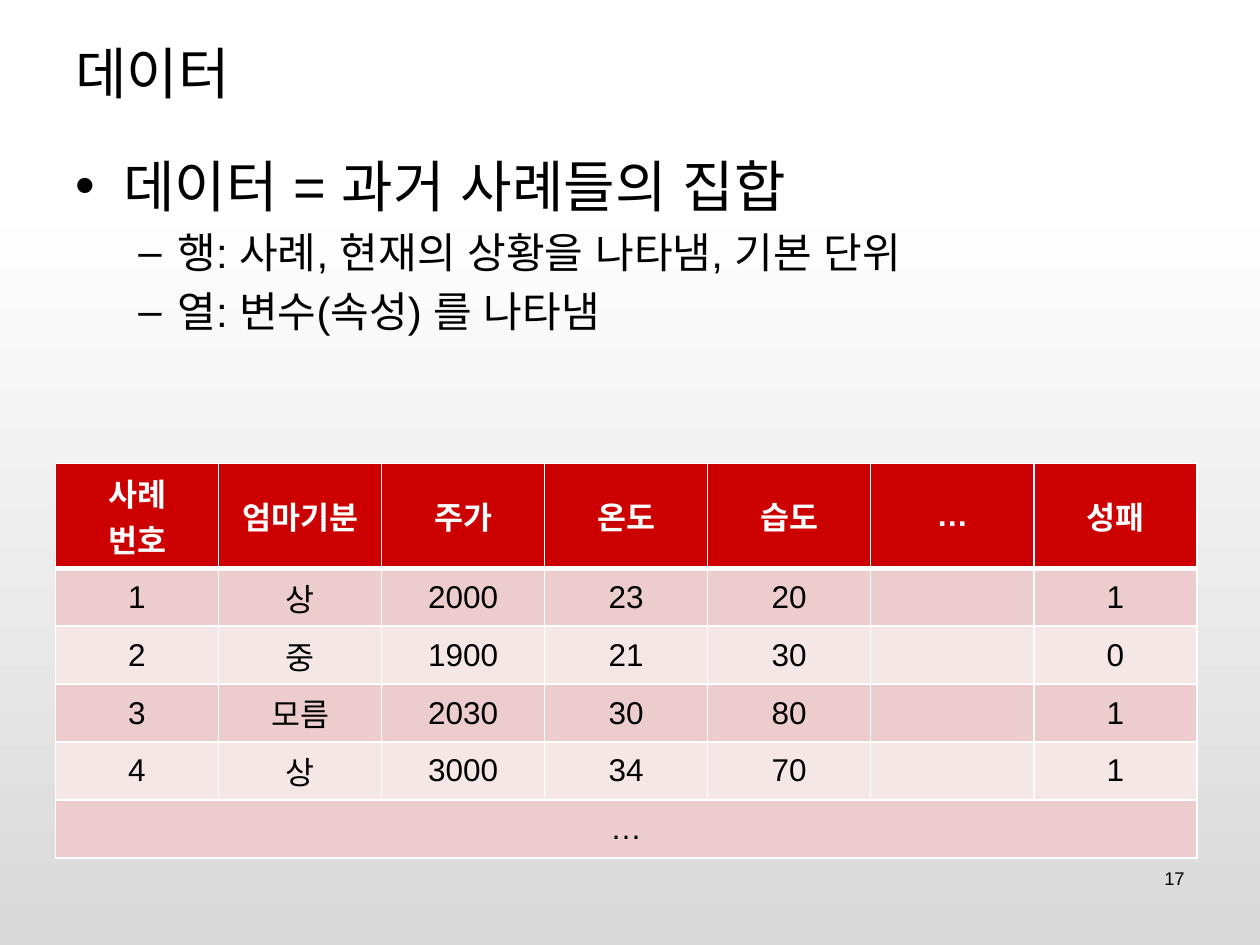
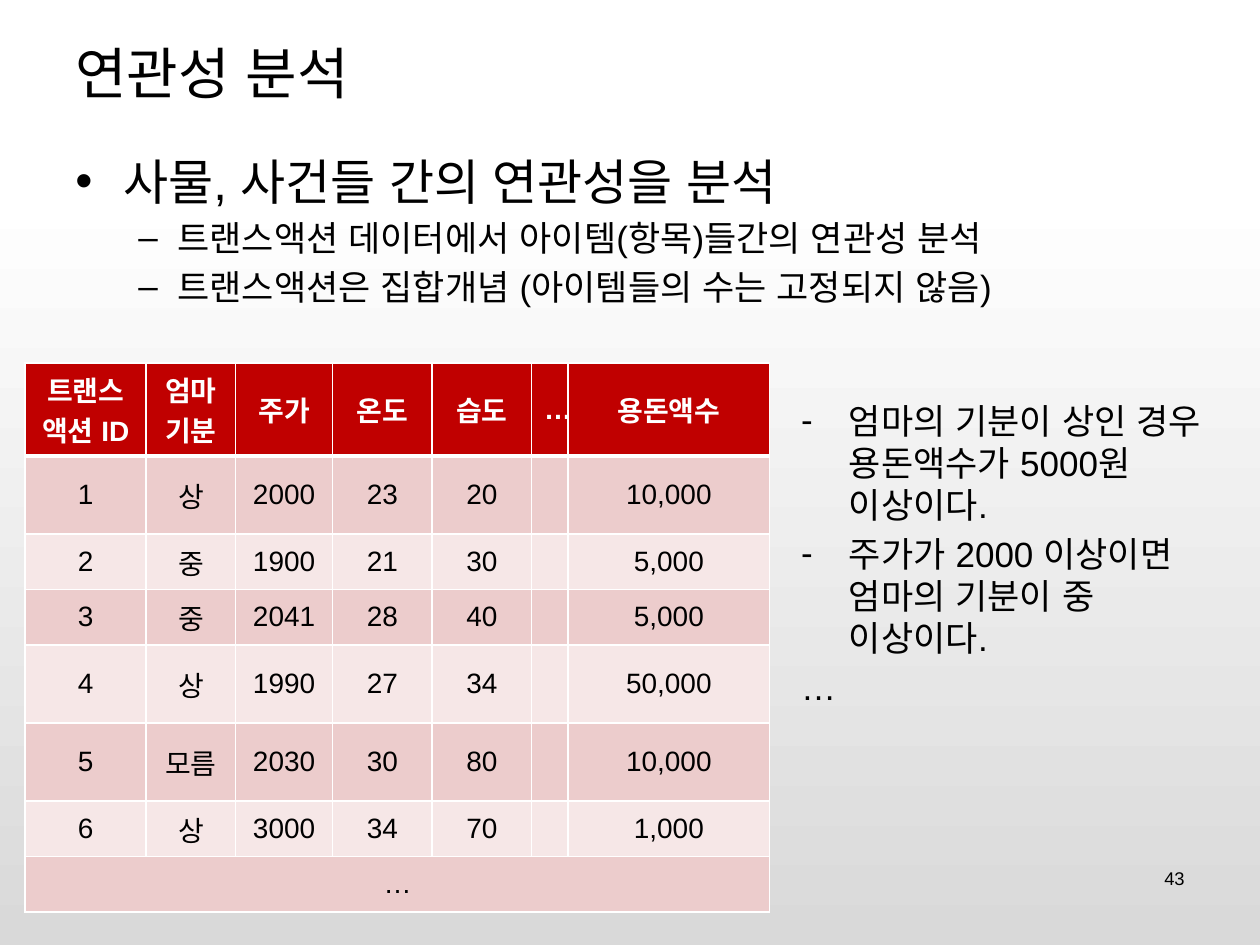
from dataclasses import dataclass

from lxml.etree import SubElement
from pptx import Presentation
from pptx.dml.color import RGBColor
from pptx.enum.lang import MSO_LANGUAGE_ID
from pptx.enum.text import MSO_ANCHOR, PP_ALIGN
from pptx.oxml.ns import qn
from pptx.util import Inches, Pt

# Content: each body line is (level, text)
DATA_SLIDE = dict(
    title="데이터",
    number="17",
    body_sizes=(32, 24),
    body=[
        (0, "데이터 = 과거 사례들의 집합"),
        (1, "행: 사례, 현재의 상황을 나타냄, 기본 단위"),
        (1, "열: 변수(속성) 를 나타냄"),
    ],
    grid=dict(
        corner=(0.44, 3.68),
        columns=[9.06 / 7] * 7,
        rows=[0.83] + [0.46] * 5,
        header_fill="CC0000",
        size=18,
        header=["사례\n번호", "엄마기분", "주가", "온도", "습도", "…", "성패"],
        cases=[
            ["1", "상", "2000", "23", "20", "", "1"],
            ["2", "중", "1900", "21", "30", "", "0"],
            ["3", "모름", "2030", "30", "80", "", "1"],
            ["4", "상", "3000", "34", "70", "", "1"],
        ],
    ),
    findings=[],
)

ASSOCIATION_SLIDE = dict(
    title="연관성 분석",
    number="43",
    body_sizes=(28, 20),
    body=[
        (0, "사물, 사건들 간의 연관성을 분석"),
        (1, "트랜스액션 데이터에서 아이템(항목)들간의 연관성 분석"),
        (1, "트랜스액션은 집합개념 (아이템들의 수는 고정되지 않음)"),
    ],
    grid=dict(
        corner=(0.2, 2.88),
        columns=[0.96, 0.71, 0.77, 0.79, 0.79, 0.29, 1.6],
        rows=[0.74, 0.62, 0.44, 0.44, 0.62, 0.62, 0.44, 0.44],
        header_fill="C00000",
        size=16,
        header=["트랜스액션 ID", "엄마기분", "주가", "온도", "습도", "…", "용돈액수"],
        cases=[
            ["1", "상", "2000", "23", "20", "", "10,000"],
            ["2", "중", "1900", "21", "30", "", "5,000"],
            ["3", "중", "2041", "28", "40", "", "5,000"],
            ["4", "상", "1990", "27", "34", "", "50,000"],
            ["5", "모름", "2030", "30", "80", "", "10,000"],
            ["6", "상", "3000", "34", "70", "", "1,000"],
        ],
    ),
    findings=[
        ("-", "엄마의 기분이 상인 경우 용돈액수가 5000원 이상이다."),
        ("-", "주가가 2000 이상이면 엄마의 기분이 중 이상이다."),
        ("", "…"),
    ],
)


@dataclass(frozen=True)
class Theme:
    latin: str = "Arial"
    korean: str = "Noto Sans CJK KR"
    ink: str = "000000"
    paper: str = "FFFFFF"
    shade: str = "D9D9D9"
    bands: tuple = ("ECCCCC", "F6E7E7")
    title_size: float = 32
    findings_size: float = 20
    number_size: float = 10.5
    space_share: float = 0.2
    rule: float = 1
    header_rule: float = 3


THEME = Theme()
WIDTH, HEIGHT = 10, 7.5
MARGIN = 0.05 * WIDTH
INNER = WIDTH - 2 * MARGIN
TITLE_AREA = (MARGIN, 0.04 * HEIGHT, INNER, 0.54)
BODY_AREA = (MARGIN, 1.15, INNER, 0.74 * HEIGHT)
NUMBER_AREA = (WIDTH - MARGIN - 2.33, 6.83, 2.33, 0.52)
FINDINGS_AREA = (6.26, 3.12, 3.54, 3.2)
BULLETS = ("•", "–")
INDENTS = ((0.38, -0.38), (0.81, -0.31))  # left margin, first line


def write(paragraph, text, size, color=THEME.ink, bold=False, latin=THEME.latin):
    for index, line in enumerate(text.split("\n")):
        if index:
            paragraph.add_line_break()
        run = paragraph.add_run()
        run.text = line
        run.font.size = Pt(size)
        run.font.bold = bold
        run.font.color.rgb = RGBColor.from_string(color)
        run.font.name = latin
        run.font.language_id = MSO_LANGUAGE_ID.KOREAN
        SubElement(run.font._element, qn("a:ea"), typeface=THEME.korean)


def add_area(slide, area, anchor=MSO_ANCHOR.TOP):
    frame = slide.shapes.add_textbox(*map(Inches, area)).text_frame
    frame.word_wrap = True
    frame.vertical_anchor = anchor
    return frame


def add_list(slide, area, items):
    """Each item is (bullet, level, text, size)."""
    frame = add_area(slide, area)
    for index, (bullet, level, text, size) in enumerate(items):
        paragraph = frame.add_paragraph() if index else frame.paragraphs[0]
        paragraph.level = level
        if index:
            paragraph.space_before = Pt(size * THEME.space_share)
        if bullet:
            properties = paragraph._p.get_or_add_pPr()
            left, first = INDENTS[level]
            properties.set("marL", str(Inches(left)))
            properties.set("indent", str(Inches(first)))
            SubElement(properties, qn("a:buFont"), typeface=THEME.latin)
            SubElement(properties, qn("a:buChar"), char=bullet)
        write(paragraph, text, size)


def style_cell(cell, fill, bottom_rule):
    cell.vertical_anchor = MSO_ANCHOR.MIDDLE
    properties = cell._tc.get_or_add_tcPr()
    for side in ("lnL", "lnR", "lnT", "lnB"):
        weight = bottom_rule if side == "lnB" else THEME.rule
        border = SubElement(properties, qn(f"a:{side}"), w=str(Pt(weight)))
        solid = SubElement(border, qn("a:solidFill"))
        SubElement(solid, qn("a:srgbClr"), val=THEME.paper)
    cell.fill.solid()
    cell.fill.fore_color.rgb = RGBColor.from_string(fill)


def add_grid(slide, grid):
    columns, rows = grid["columns"], grid["rows"]
    extent = (*grid["corner"], sum(columns), sum(rows))
    table = slide.shapes.add_table(len(rows), len(columns), *map(Inches, extent)).table
    for column, width in zip(table.columns, columns):
        column.width = Inches(width)
    for row, height in zip(table.rows, rows):
        row.height = Inches(height)

    # Header, cases, then one closing row across all columns
    closing = ["…"] + [""] * (len(columns) - 1)
    for r, texts in enumerate([grid["header"], *grid["cases"], closing]):
        is_header = r == 0
        fill = grid["header_fill"] if is_header else THEME.bands[(r - 1) % 2]
        color = THEME.paper if is_header else THEME.ink
        for c, text in enumerate(texts):
            cell = table.cell(r, c)
            style_cell(cell, fill, THEME.header_rule if is_header else THEME.rule)
            paragraph = cell.text_frame.paragraphs[0]
            paragraph.alignment = PP_ALIGN.CENTER
            if text:
                write(paragraph, text, grid["size"], color, is_header)
    last = len(rows) - 1
    table.cell(last, 0).merge(table.cell(last, len(columns) - 1))


def shade_background(master):
    fill = master.background.fill
    fill.gradient()
    fill.gradient_angle = 270
    stops = ((0.2, THEME.paper), (1, THEME.shade))
    for stop, (position, color) in zip(fill.gradient_stops, stops):
        stop.position = position
        stop.color.rgb = RGBColor.from_string(color)


def add_content_slide(deck, content):
    slide = deck.slides.add_slide(deck.slide_layouts[6])

    # Title and body
    title = add_area(slide, TITLE_AREA, MSO_ANCHOR.MIDDLE).paragraphs[0]
    write(title, content["title"], THEME.title_size, latin=THEME.korean)
    sizes = content["body_sizes"]
    add_list(slide, BODY_AREA, [(BULLETS[level], level, text, sizes[level])
                                for level, text in content["body"]])

    # Slide number
    number = add_area(slide, NUMBER_AREA).paragraphs[0]
    number.alignment = PP_ALIGN.RIGHT
    write(number, content["number"], THEME.number_size)

    # Table and findings beside it
    add_grid(slide, content["grid"])
    if content["findings"]:
        add_list(slide, FINDINGS_AREA, [(bullet, 0, text, THEME.findings_size)
                                        for bullet, text in content["findings"]])


def main():
    deck = Presentation()
    deck.slide_width, deck.slide_height = Inches(WIDTH), Inches(HEIGHT)
    shade_background(deck.slide_master)
    for content in (DATA_SLIDE, ASSOCIATION_SLIDE):
        add_content_slide(deck, content)
    deck.save("out.pptx")


if __name__ == "__main__":
    main()
